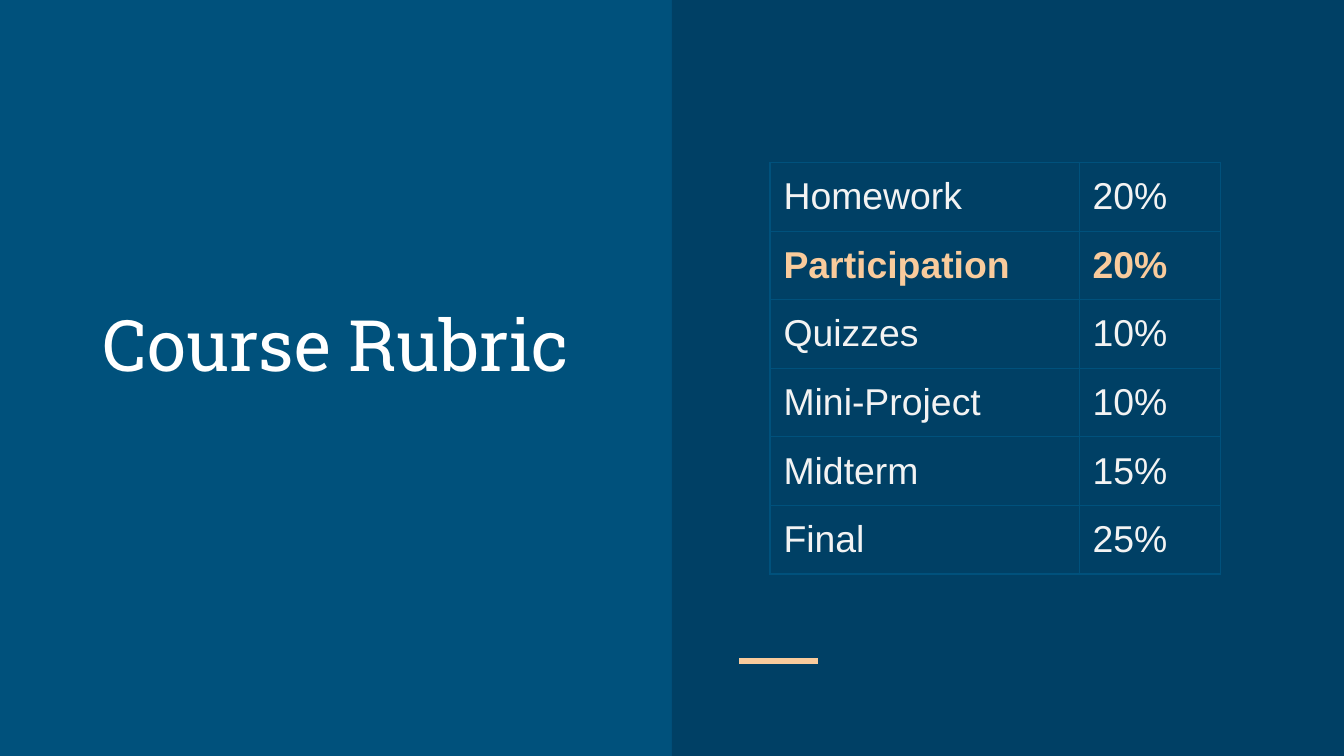
from dataclasses import dataclass

import pptx
import pptx.dml.color
import pptx.enum.shapes
import pptx.enum.text
import pptx.oxml
import pptx.oxml.ns
import pptx.util
from pptx.util import Inches


@dataclass(frozen=True)
class Theme:
    blue: str = "00517C"
    navy: str = "004065"
    peach: str = "F9CB9C"
    white: str = "FFFFFF"
    pale: str = "F3F3F3"
    head: str = "Roboto Slab"
    body: str = "Arial"
    big: float = 38
    mid: float = 20
    rule: float = 3
    edge: float = 0.75


THEME = Theme()
WIDE = Inches(10)
HIGH = WIDE * 9 // 16
GRADES = [
    ("Homework", "20%"),
    ("Participation", "20%"),
    ("Quizzes", "10%"),
    ("Mini-Project", "10%"),
    ("Midterm", "15%"),
    ("Final", "25%"),
]


def rgb(color):
    return pptx.dml.color.RGBColor.from_string(color)


def style(frame, face, size, color, bold=False):
    for para in frame.paragraphs:
        for run in para.runs:
            run.font.name = face
            run.font.size = pptx.util.Pt(size)
            run.font.color.rgb = rgb(color)
            run.font.bold = bold


def pad(item):
    item.margin_left = item.margin_right = Inches(0.1)
    item.margin_top = item.margin_bottom = Inches(0.1)


def add_title(slide, text):
    title = slide.shapes.title
    title.left, title.top = Inches(0.29), Inches(1.32)
    title.width, title.height = Inches(4.42), Inches(1.65)
    frame = title.text_frame
    frame.text = text
    frame.word_wrap = True
    frame.vertical_anchor = pptx.enum.text.MSO_ANCHOR.BOTTOM
    frame.paragraphs[0].alignment = pptx.enum.text.PP_ALIGN.CENTER
    pad(frame)
    style(frame, THEME.head, THEME.big, THEME.white)


def add_panel(slide):
    panel = slide.shapes.add_shape(
        pptx.enum.shapes.MSO_SHAPE.RECTANGLE,
        WIDE // 2, 0, WIDE // 2, HIGH)
    panel.shadow.inherit = False
    panel.fill.solid()
    panel.fill.fore_color.rgb = rgb(THEME.navy)
    panel.line.fill.background()


def add_rule(slide):
    rule = slide.shapes.add_connector(
        pptx.enum.shapes.MSO_CONNECTOR.STRAIGHT,
        Inches(5.5), Inches(4.92), Inches(6.09), Inches(4.92))
    rule.line.color.rgb = rgb(THEME.peach)
    rule.line.width = pptx.util.Pt(THEME.rule)
    props = rule._element.spPr
    props.append(pptx.oxml.parse_xml(
        f'<a:effectLst {pptx.oxml.ns.nsdecls("a")}/>'))


def add_edges(cell):
    props = cell._tc.get_or_add_tcPr()
    width = pptx.util.Pt(THEME.edge)
    for side in "LRTB":
        props.append(pptx.oxml.parse_xml(
            f'<a:ln{side} {pptx.oxml.ns.nsdecls("a")} w="{width}">'
            f'<a:solidFill><a:srgbClr val="{THEME.blue}"/></a:solidFill>'
            f'</a:ln{side}>'))


def add_grades(slide, grades, accent):
    high = Inches(0.51)
    table = slide.shapes.add_table(
        len(grades), 2, Inches(5.73), Inches(1.21),
        Inches(3.35), high * len(grades)).table
    table.first_row = table.horz_banding = False
    for col, width in zip(table.columns, (2.3, 1.05)):
        col.width = Inches(width)
    for row, texts in zip(table.rows, grades):
        row.height = high
        bold = texts[0] == accent
        color = THEME.peach if bold else THEME.pale
        for cell, text in zip(row.cells, texts):
            cell.text_frame.text = text
            pad(cell)
            add_edges(cell)
            cell.fill.background()
            style(cell.text_frame, THEME.body, THEME.mid, color, bold)


def main():
    deck = pptx.Presentation()
    deck.slide_width, deck.slide_height = WIDE, HIGH
    slide = deck.slides.add_slide(deck.slide_layouts[5])
    slide.background.fill.solid()
    slide.background.fill.fore_color.rgb = rgb(THEME.blue)
    add_panel(slide)
    add_rule(slide)
    add_title(slide, "Course Rubric")
    add_grades(slide, GRADES, "Participation")
    deck.save("out.pptx")


if __name__ == "__main__":
    main()
